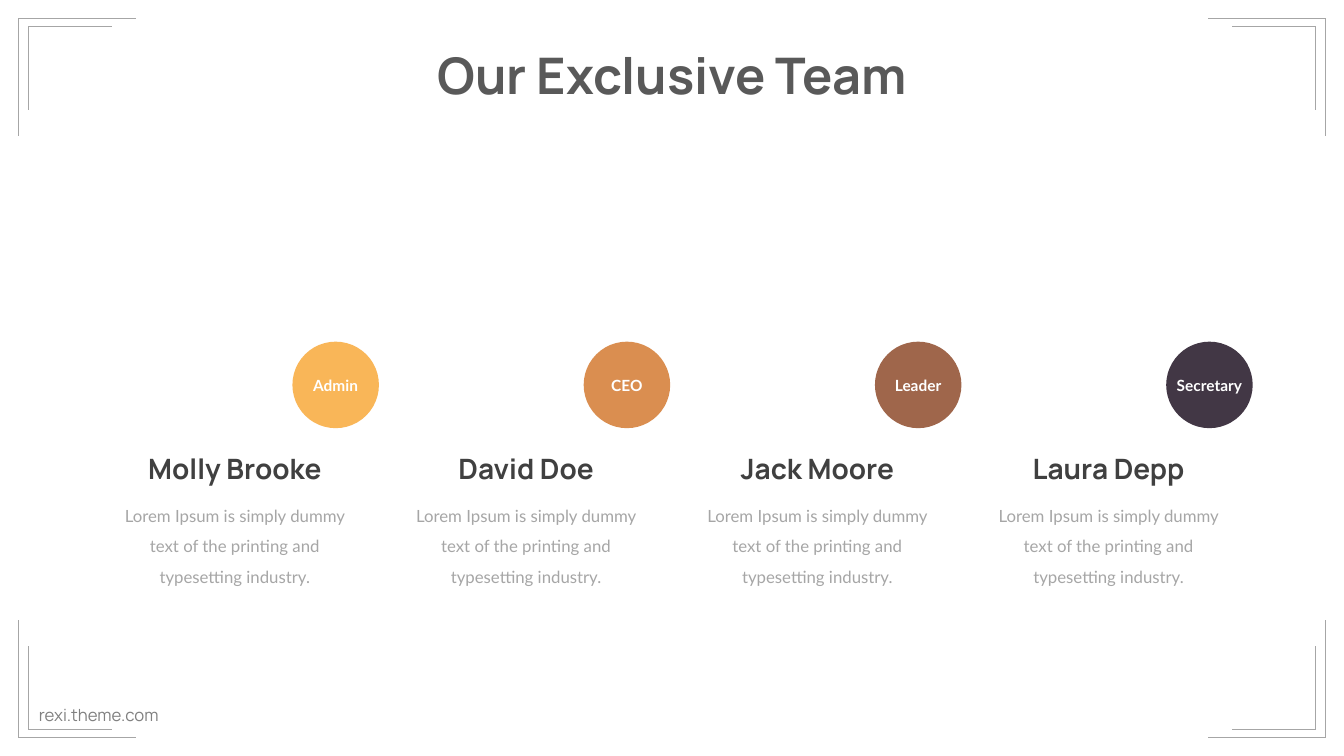
from lxml import etree
from pptx import Presentation
from pptx.dml.color import RGBColor
from pptx.enum import shapes, text
from pptx.oxml import ns
from pptx.util import Cm, Pt

TITLE = "Our Exclusive Team"
FOOTER = "rexi.theme.com"
BIO = "Lorem Ipsum is simply dummy text of the printing and typesetting industry."
TEAM = [  # name, role, circle colour
    ("Molly Brooke", "Admin", "F9B658"),
    ("David Doe", "CEO", "DA8E50"),
    ("Jack Moore", "Leader", "9F664B"),
    ("Laura Depp", "Secretary", "423745"),
]
CORNER_BRACKETS = [(0.46, 0.46, 2.97), (0.71, 0.66, 2.11)]  # inset x, inset y, arm

WIDTH, HEIGHT = 33.87, 19.05
FIRST_CENTER, COLUMN_STEP = 5.92, 7.34
CIRCLE_SIZE, CIRCLE_TOP, CIRCLE_OFFSET = 2.18, 8.61, 2.54
NAME_WIDTH, BIO_WIDTH = 5.03, 6.05


def color(hex_code):
    return RGBColor.from_string(hex_code)


def write(shape, content, font, size, hex_code, bold=False):
    """Put one centred, formatted paragraph in a shape and return it."""
    shape.text_frame.text = content
    paragraph = shape.text_frame.paragraphs[0]
    paragraph.alignment = text.PP_ALIGN.CENTER
    run_font = paragraph.runs[0].font
    run_font.name, run_font.size, run_font.bold = font, Pt(size), bold
    run_font.color.rgb = color(hex_code)
    return paragraph


def add_text_box(slide, left, top, width, height, wrap=False):
    box = slide.shapes.add_textbox(Cm(left), Cm(top), Cm(width), Cm(height))
    box.text_frame.word_wrap = wrap
    box.text_frame.auto_size = text.MSO_AUTO_SIZE.SHAPE_TO_FIT_TEXT
    return box


def add_line(slide, x1, y1, x2, y2):
    line = slide.shapes.add_connector(
        shapes.MSO_CONNECTOR.STRAIGHT, Cm(x1), Cm(y1), Cm(x2), Cm(y2))
    line.line.color.rgb = color("A6A6A6")
    line.line.width = Pt(0.5)
    etree.SubElement(line._element.spPr, ns.qn("a:effectLst"))


def add_corners(slide):
    """Draw the double brackets, mirrored into all four corners."""
    for inset_x, inset_y, arm in CORNER_BRACKETS:
        for x, step_x in ((inset_x, arm), (WIDTH - inset_x, -arm)):
            for y, step_y in ((inset_y, arm), (HEIGHT - inset_y, -arm)):
                add_line(slide, x, y, x, y + step_y)
                add_line(slide, x, y, x + step_x, y)


def add_member(slide, center, name, role, hex_code):
    circle = slide.shapes.add_shape(
        shapes.MSO_SHAPE.OVAL,
        Cm(center + CIRCLE_OFFSET - CIRCLE_SIZE / 2), Cm(CIRCLE_TOP),
        Cm(CIRCLE_SIZE), Cm(CIRCLE_SIZE))
    circle.shadow.inherit = False
    circle.fill.solid()
    circle.fill.fore_color.rgb = color(hex_code)
    circle.line.fill.background()
    circle.text_frame.word_wrap = False
    circle.text_frame.vertical_anchor = text.MSO_ANCHOR.MIDDLE
    write(circle, role, "Lato", 11, "FFFFFF", bold=True)

    name_box = add_text_box(slide, center - NAME_WIDTH / 2, 11.25, NAME_WIDTH, 1.12)
    write(name_box, name, "Manrope", 20, "404040", bold=True)

    bio_box = add_text_box(slide, center - BIO_WIDTH / 2, 12.37, BIO_WIDTH, 2.57, wrap=True)
    bio_box.text_frame.margin_left = bio_box.text_frame.margin_right = 0
    write(bio_box, BIO, "Lato", 12, "A6A6A6").line_spacing = 1.5


def main():
    presentation = Presentation()
    presentation.slide_width, presentation.slide_height = Cm(WIDTH), Cm(HEIGHT)
    slide = presentation.slides.add_slide(presentation.slide_layouts[6])

    add_corners(slide)
    footer_box = add_text_box(slide, 0.71, 17.63, 3.56, 0.77)
    write(footer_box, FOOTER, "Manrope", 12, "808080")
    title_box = add_text_box(slide, (WIDTH - 12.5) / 2, 0.99, 12.5, 1.8)
    write(title_box, TITLE, "Manrope", 36, "595959", bold=True)
    for index, member in enumerate(TEAM):
        add_member(slide, FIRST_CENTER + index * COLUMN_STEP, *member)

    presentation.save("out.pptx")


if __name__ == "__main__":
    main()
